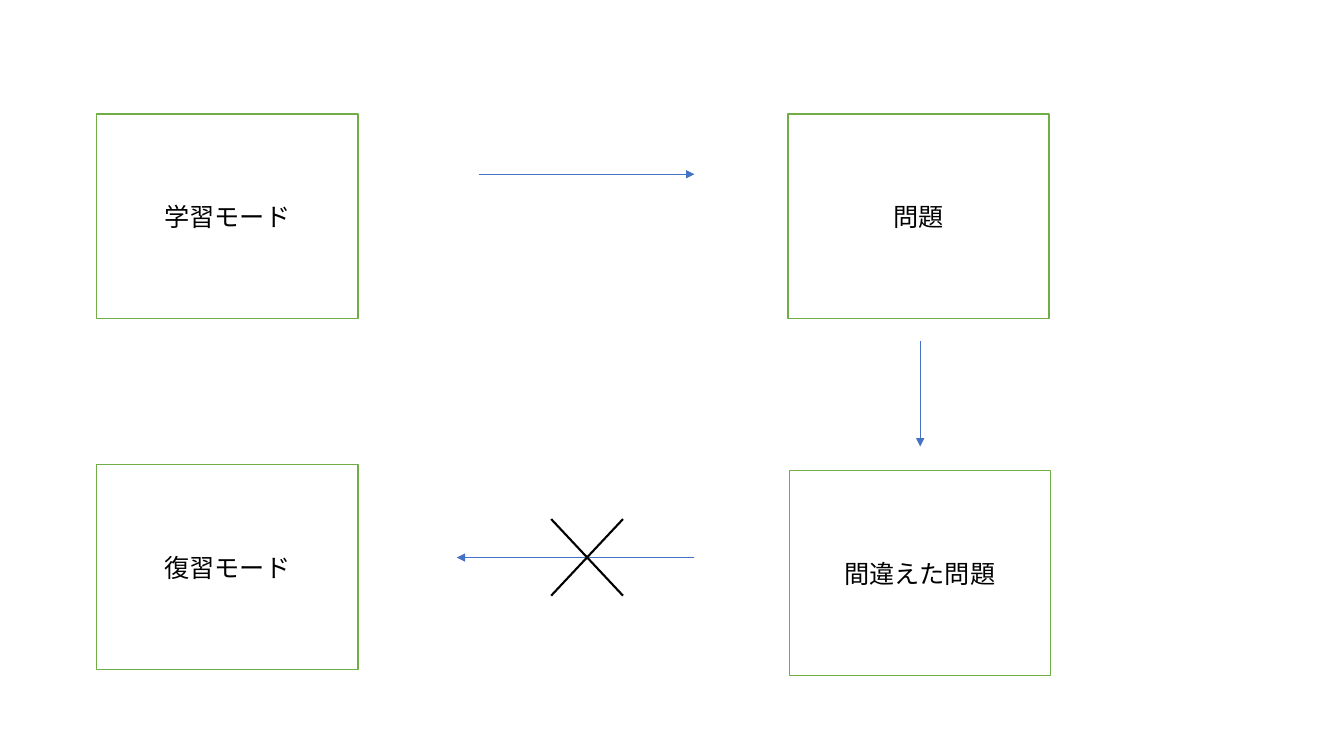
from lxml import etree
from pptx import Presentation
from pptx.dml.color import RGBColor
from pptx.enum.shapes import MSO_CONNECTOR, MSO_SHAPE
from pptx.enum.text import MSO_ANCHOR, PP_ALIGN
from pptx.oxml.ns import qn
from pptx.util import Cm, Pt

RECTANGLE = MSO_SHAPE.RECTANGLE
STRAIGHT = MSO_CONNECTOR.STRAIGHT
MIDDLE = MSO_ANCHOR.MIDDLE
CENTER = PP_ALIGN.CENTER

WHITE = RGBColor(0xFF, 0xFF, 0xFF)
BLACK = RGBColor(0x00, 0x00, 0x00)
GREEN = RGBColor(0x70, 0xAD, 0x47)
BLUE = RGBColor(0x44, 0x72, 0xC4)
FONT = "Noto Sans CJK JP"

BOX_WIDTH, BOX_HEIGHT = 6.58, 5.16
BOXES = [
    ("学習モード", 2.44, 2.87),
    ("復習モード", 2.44, 11.71),
    ("問題", 19.86, 2.87),
    ("間違えた問題", 19.89, 11.86),
]
ARROWS = [
    (12.07, 4.39, 17.5, 4.39),
    (23.19, 8.59, 23.19, 11.25),
    (17.5, 14.05, 11.51, 14.05),
]
CROSS_LEFT, CROSS_TOP, CROSS_RIGHT, CROSS_BOTTOM = 13.89, 13.08, 15.7, 15.01
CROSS = [
    (CROSS_RIGHT, CROSS_TOP, CROSS_LEFT, CROSS_BOTTOM),
    (CROSS_LEFT, CROSS_TOP, CROSS_RIGHT, CROSS_BOTTOM),
]


def add_box(slide, text, left, top):
    shape = slide.shapes.add_shape(
        RECTANGLE, Cm(left), Cm(top), Cm(BOX_WIDTH), Cm(BOX_HEIGHT)
    )
    shape.shadow.inherit = False
    shape.fill.solid()
    shape.fill.fore_color.rgb = WHITE
    shape.line.color.rgb = GREEN
    shape.line.width = Pt(1)
    shape.text_frame.vertical_anchor = MIDDLE
    paragraph = shape.text_frame.paragraphs[0]
    paragraph.alignment = CENTER
    run = paragraph.add_run()
    run.text = text
    run.font.size = Pt(18)
    run.font.color.rgb = BLACK
    run.font.name = FONT
    east_asian = etree.Element(qn("a:ea"), typeface=FONT)
    run.font._element.find(qn("a:latin")).addnext(east_asian)


def add_line(slide, ends, color, width):
    connector = slide.shapes.add_connector(STRAIGHT, *[Cm(end) for end in ends])
    connector.line.color.rgb = color
    connector.line.width = Pt(width)
    etree.SubElement(connector._element.spPr, qn("a:effectLst"))
    return connector


def add_arrow(slide, ends):
    connector = add_line(slide, ends, BLUE, 0.5)
    outline = connector._element.spPr.find(qn("a:ln"))
    etree.SubElement(outline, qn("a:tailEnd"), type="triangle")


def main():
    presentation = Presentation()
    presentation.slide_width = Cm(33.87)
    presentation.slide_height = Cm(19.05)
    slide = presentation.slides.add_slide(presentation.slide_layouts[6])
    for text, left, top in BOXES:
        add_box(slide, text, left, top)
    for ends in ARROWS:
        add_arrow(slide, ends)
    for ends in CROSS:
        add_line(slide, ends, BLACK, 1.5)
    presentation.save("out.pptx")


if __name__ == "__main__":
    main()
